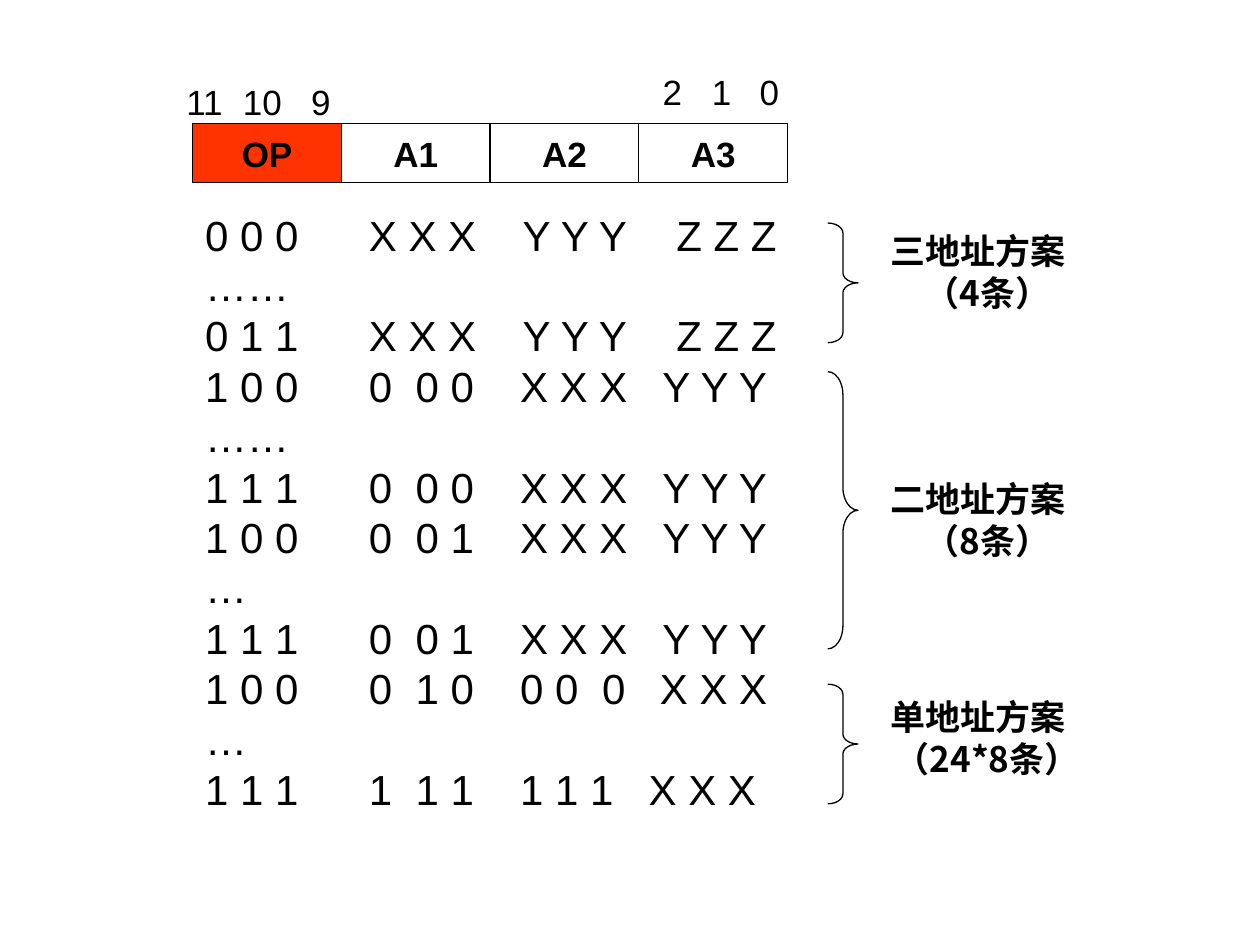
from lxml import etree
from pptx import Presentation
from pptx.dml.color import RGBColor
from pptx.enum import shapes, text
from pptx.oxml.ns import qn
from pptx.util import Inches, Pt

THEME = {
    "latin": "Arial", "chinese": "Noto Sans CJK SC",
    "ink": RGBColor(0, 0, 0), "paper": RGBColor(255, 255, 255),
    "opcode": RGBColor(0xFF, 0x33, 0x00),
    "label": 20, "code": 24, "line": 0.75,
}

FIELDS = ["OP", "A1", "A2", "A3"]
FIELD_LEFT, FIELD_TOP, FIELD_WIDTH, FIELD_HEIGHT = 1.53, 0.98, 1.18, 0.47

BIT_NUMBERS = [
    (("2", "1", "0"), (5.08, 0.51, 1.26, 0.44), 0.18, (0.39, 0.77)),
    (("11", "10", "9"), (1.38, 0.59, 1.49, 0.44), 0.1, (0.45, 0.99)),
]

THREE_STOPS = (1.3, 2.52, 3.74)
TWO_STOPS = (1.3, 1.67, 2.5, 3.63)
ONE_STOPS = (1.3, 1.67, 2.5, 3.15, 3.61)
LAST_STOPS = (1.3, 1.67, 2.5, 3.52)
CODES = [
    (("0 0 0", "X X X", "Y Y Y", "Z Z Z"), THREE_STOPS),
    (("……",), ()),
    (("0 1 1", "X X X", "Y Y Y", "Z Z Z"), THREE_STOPS),
    (("1 0 0", "0", "0 0", "X X X", "Y Y Y"), TWO_STOPS),
    (("……",), ()),
    (("1 1 1", "0", "0 0", "X X X", "Y Y Y"), TWO_STOPS),
    (("1 0 0", "0", "0 1", "X X X", "Y Y Y"), TWO_STOPS),
    (("…",), ()),
    (("1 1 1", "0", "0 1", "X X X", "Y Y Y"), TWO_STOPS),
    (("1 0 0", "0", "1 0", "0 0", "0", "X X X"), ONE_STOPS),
    (("…",), ()),
    (("1 1 1", "1", "1 1", "1 1 1", "X X X"), LAST_STOPS),
]
CODE_PLACE = (1.53, 1.61, 4.8, 4.9)

SCHEMES = [
    ("三地址方案", "（4条）", 1.77, 0.95, 1.77),
    ("二地址方案", "（8条）", 2.95, 2.2, 3.74),
    ("单地址方案", "（24*8条）", 5.43, 0.95, 5.47),
]
BRACE_LEFT, BRACE_WIDTH = 6.57, 0.24
SCHEME_LEFT, SCHEME_WIDTH, SCHEME_HEIGHT = 6.89, 1.89, 0.77
SCHEME_INDENT = 0.08


def apply(target, values):
    for name, value in values.items():
        setattr(target, name, value)


def inches(place):
    return [Inches(value) for value in place]


def write(para, words, size=THEME["label"], bold=False, chinese=False):
    span = para.add_run()
    span.text = words
    face = THEME["chinese"] if chinese else THEME["latin"]
    apply(span.font, {"name": face, "size": Pt(size), "bold": bold})
    span.font.color.rgb = THEME["ink"]
    if chinese:
        east = etree.SubElement(span.font._element, qn("a:ea"))
        east.set("typeface", face)


def write_columns(para, columns, stops, size=THEME["label"]):
    if stops:
        tabs = etree.SubElement(para._p.get_or_add_pPr(), qn("a:tabLst"))
        for stop in stops:
            etree.SubElement(tabs, qn("a:tab"), pos=str(Inches(stop)), algn="l")
    write(para, "\t".join(columns), size)


def add_text(page, place, margin=0.1):
    frame = page.shapes.add_textbox(*inches(place)).text_frame
    apply(frame, {
        "word_wrap": True,
        "auto_size": text.MSO_AUTO_SIZE.SHAPE_TO_FIT_TEXT,
        "margin_left": Inches(margin),
    })
    return frame


def add_outline(page, kind, place):
    shape = page.shapes.add_shape(kind, *inches(place))
    shape.shadow.inherit = False
    shape.line.color.rgb = THEME["ink"]
    shape.line.width = Pt(THEME["line"])
    return shape


def add_field(page, index, name):
    left = FIELD_LEFT + index * FIELD_WIDTH
    box = add_outline(page, shapes.MSO_SHAPE.RECTANGLE,
                      (left, FIELD_TOP, FIELD_WIDTH, FIELD_HEIGHT))
    box.fill.solid()
    box.fill.fore_color.rgb = THEME["paper" if index else "opcode"]
    apply(box.text_frame, {"word_wrap": False,
                           "vertical_anchor": text.MSO_ANCHOR.MIDDLE})
    para = box.text_frame.paragraphs[0]
    para.alignment = text.PP_ALIGN.CENTER
    write(para, name, bold=True)


def add_scheme(page, name, count, brace_top, brace_height, label_top):
    brace = add_outline(page, shapes.MSO_SHAPE.RIGHT_BRACE,
                        (BRACE_LEFT, brace_top, BRACE_WIDTH, brace_height))
    brace.fill.background()
    brace.adjustments[0] = brace_height / 12 / BRACE_WIDTH
    frame = add_text(page, (SCHEME_LEFT, label_top, SCHEME_WIDTH, SCHEME_HEIGHT))
    title = frame.paragraphs[0]
    title._p.get_or_add_pPr().set("marL", str(Inches(SCHEME_INDENT)))
    write(title, name, bold=True, chinese=True)
    total = frame.add_paragraph()
    total.alignment = text.PP_ALIGN.CENTER
    write(total, count, bold=True, chinese=True)


def main():
    deck = Presentation()
    apply(deck, {"slide_width": Inches(10), "slide_height": Inches(7.5)})
    page = deck.slides.add_slide(deck.slide_layouts[6])
    for index, name in enumerate(FIELDS):
        add_field(page, index, name)
    for numbers, place, margin, stops in BIT_NUMBERS:
        frame = add_text(page, place, margin)
        write_columns(frame.paragraphs[0], numbers, stops)
    frame = add_text(page, CODE_PLACE)
    for index, (columns, stops) in enumerate(CODES):
        para = frame.add_paragraph() if index else frame.paragraphs[0]
        write_columns(para, columns, stops, THEME["code"])
    for scheme in SCHEMES:
        add_scheme(page, *scheme)
    deck.save("out.pptx")


if __name__ == "__main__":
    main()
